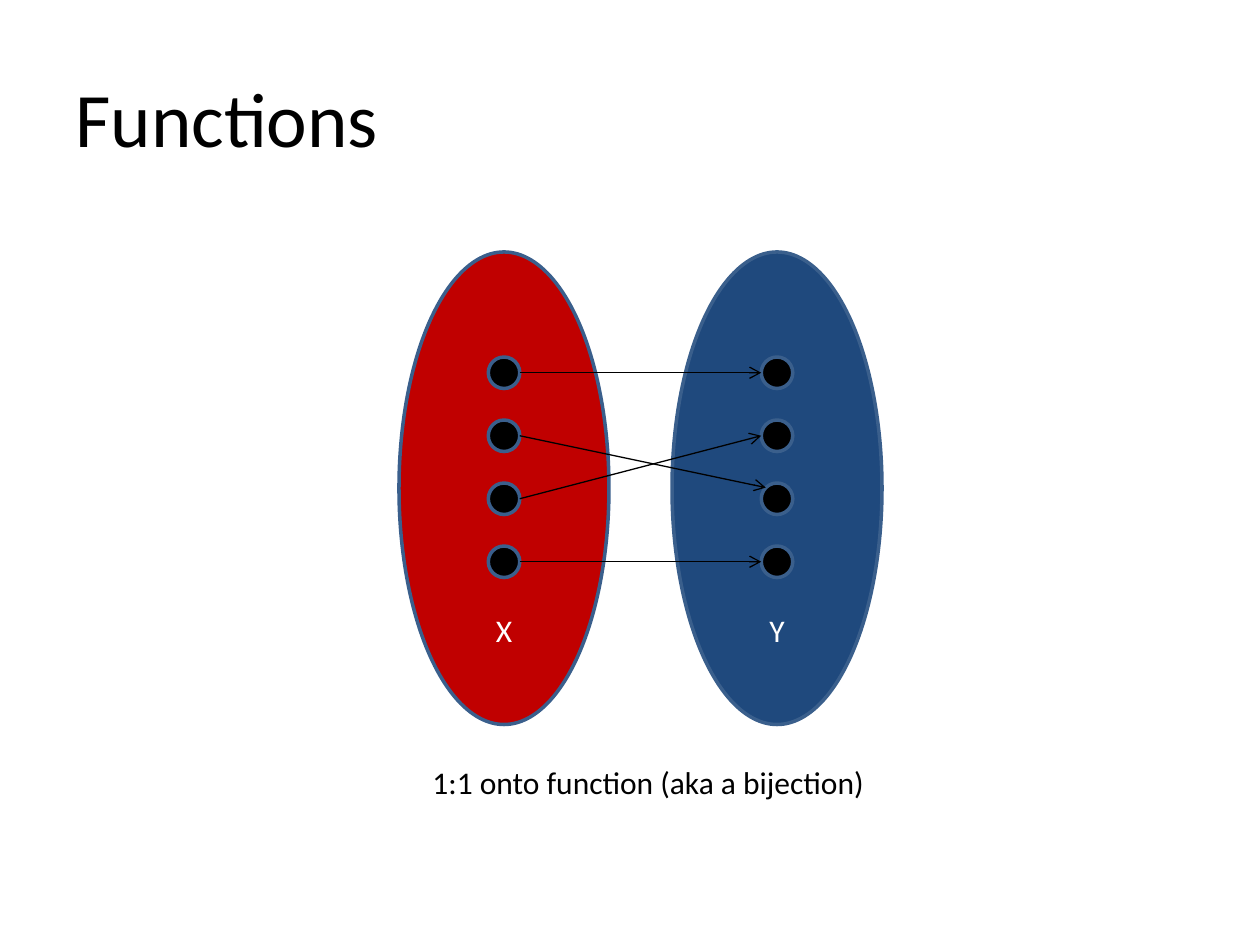
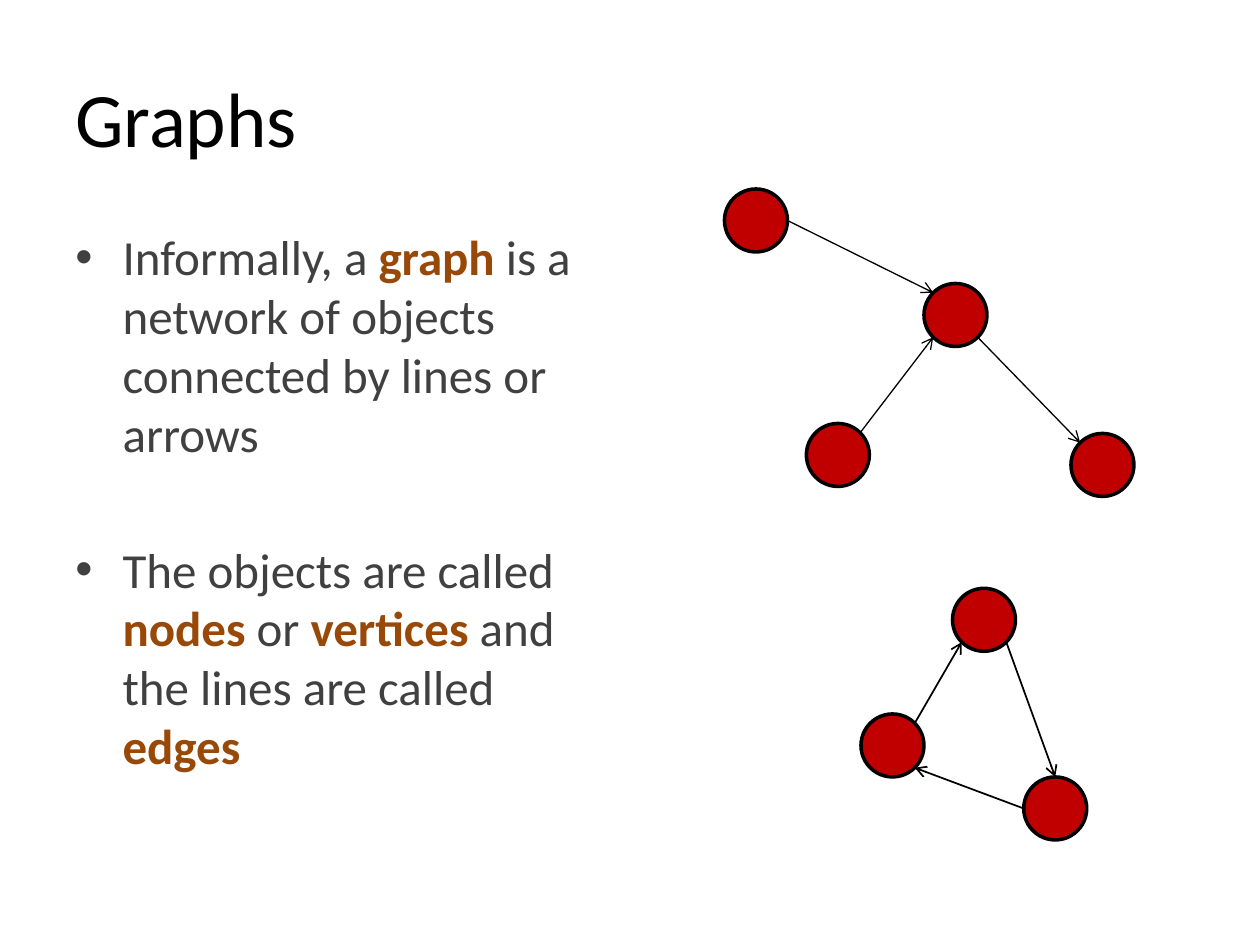
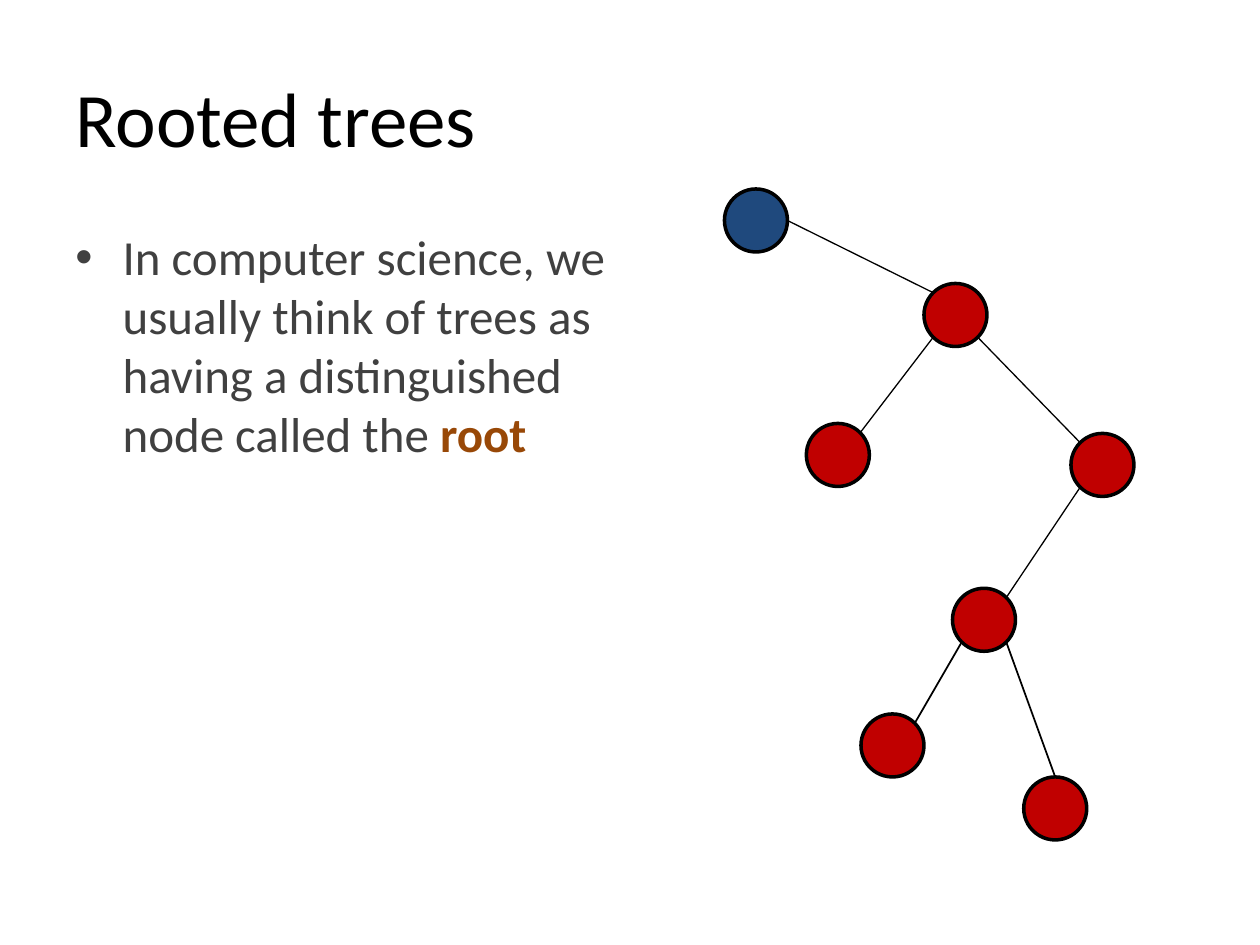
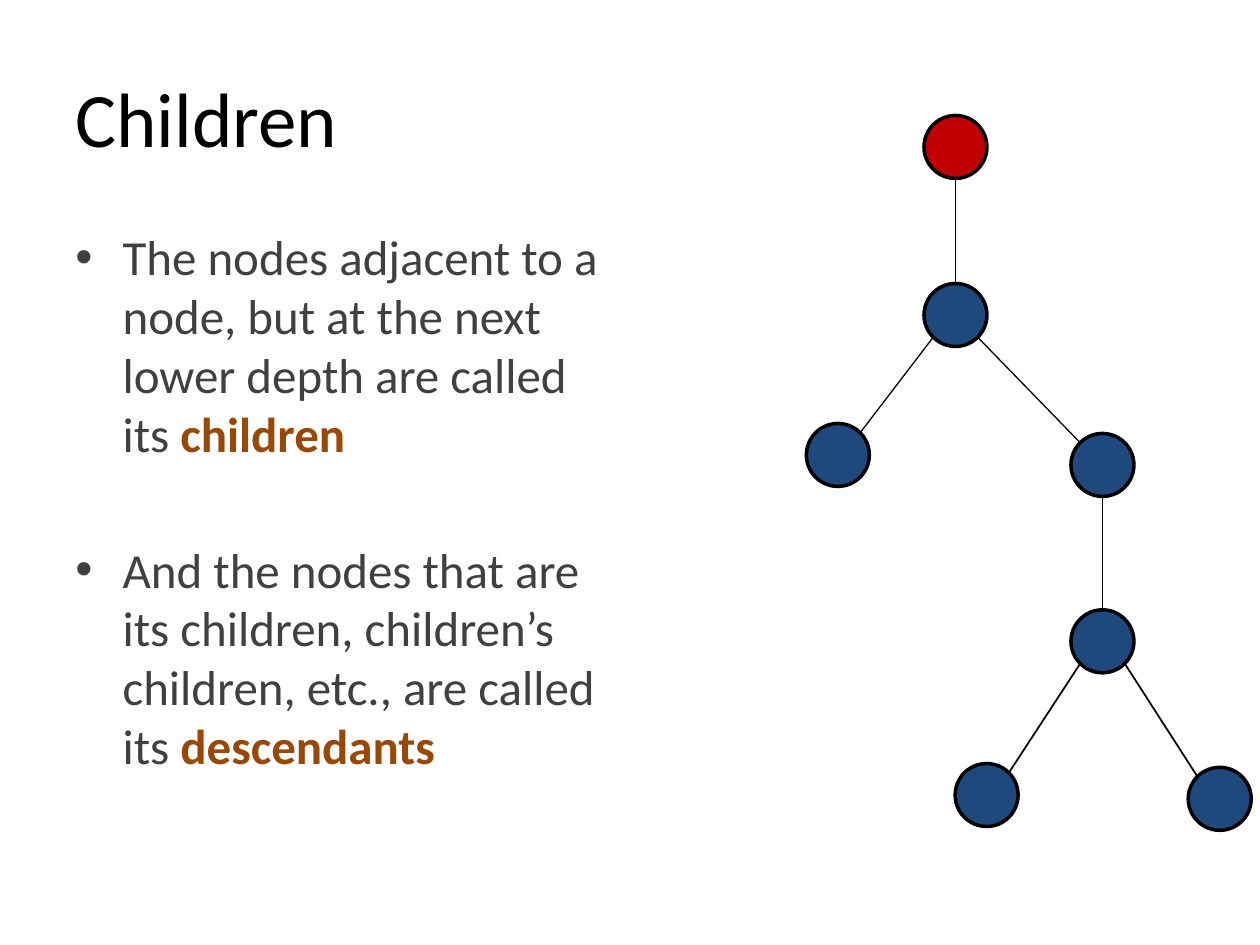
from math import sqrt

from lxml import etree
from pptx import Presentation
from pptx.dml.color import RGBColor
from pptx.enum.shapes import MSO_CONNECTOR, MSO_SHAPE
from pptx.enum.text import MSO_ANCHOR, MSO_AUTO_SIZE, PP_ALIGN
from pptx.oxml.ns import qn
from pptx.util import Pt

ELLIPSE = MSO_SHAPE.OVAL
STRAIGHT = MSO_CONNECTOR.STRAIGHT
TOP, MIDDLE, BOTTOM = MSO_ANCHOR.TOP, MSO_ANCHOR.MIDDLE, MSO_ANCHOR.BOTTOM
LEFT, CENTER = PP_ALIGN.LEFT, PP_ALIGN.CENTER
FIT_SHAPE = MSO_AUTO_SIZE.SHAPE_TO_FIT_TEXT

FONT = "Calibri"
COLORS = {
    "black": "000000",
    "white": "FFFFFF",
    "red": "C00000",
    "blue": "1F497D",
    "outline": "3A5F8C",
    "body": "404040",
    "term": "984807",
}

# Points on an ellipse, as fractions of its radii
D = sqrt(0.5)
SITES = {
    "n": (0, -1), "s": (0, 1), "w": (-1, 0), "e": (1, 0),
    "nw": (-D, -D), "ne": (D, -D), "sw": (-D, D), "se": (D, D),
}
NODE_SIZE = 36
DOT_SIZE = 18


class Deck:
    """Holds the style and the current slide."""

    def __init__(self):
        self.prs = Presentation()
        self.prs.slide_width, self.prs.slide_height = Pt(720), Pt(540)
        self.s = None

    def color(self, name):
        return RGBColor.from_string(COLORS[name])

    def slide(self, title):
        self.s = self.prs.slides.add_slide(self.prs.slide_layouts[6])
        tf = self.box(36, 21.6, 648, 90, anchor=MIDDLE)
        self.run(tf.paragraphs[0], title, 44)

    def box(self, x, y, w, h, anchor=TOP, wrap=True):
        tf = self.s.shapes.add_textbox(Pt(x), Pt(y), Pt(w), Pt(h)).text_frame
        tf.word_wrap = wrap
        tf.vertical_anchor = anchor
        return tf

    def run(self, p, text, size, color="black", bold=False):
        r = p.add_run()
        r.text = text
        r.font.name, r.font.size, r.font.bold = FONT, Pt(size), bold
        r.font.color.rgb = self.color(color)

    def caption(self, x, y, w, h, text):
        tf = self.box(x, y, w, h, wrap=False)
        tf.auto_size = FIT_SHAPE
        self.run(tf.paragraphs[0], text, 18)

    def bullets(self, *items, height=356.4):
        """Each item alternates plain text and highlighted terms."""
        tf = self.box(36, 126, 318, height)
        for i, parts in enumerate(items):
            p = tf.add_paragraph() if i else tf.paragraphs[0]
            p.alignment = LEFT
            p.space_before = Pt(44 if i else 0)
            pPr = p._p.get_or_add_pPr()
            pPr.set("marL", str(Pt(27)))
            pPr.set("indent", str(-Pt(27)))
            etree.SubElement(pPr, qn("a:buFont")).set("typeface", "Arial")
            etree.SubElement(pPr, qn("a:buChar")).set("char", "•")
            for j, text in enumerate(parts):
                is_term = j % 2 == 1
                self.run(p, text, 28, "term" if is_term else "body", is_term)

    def ellipse(self, x, y, w, h, fill, line="black", label=None):
        sp = self.s.shapes.add_shape(ELLIPSE, Pt(x), Pt(y), Pt(w), Pt(h))
        sp.shadow.inherit = False
        sp.fill.solid()
        sp.fill.fore_color.rgb = self.color(fill)
        sp.line.color.rgb = self.color(line)
        sp.line.width = Pt(2)
        if label:
            tf = sp.text_frame
            tf.vertical_anchor = BOTTOM
            p = tf.paragraphs[0]
            p.alignment = CENTER
            self.run(p, label, 18, "white")
        return sp

    def nodes(self, places, fill, root=None, root_fill=None):
        return {
            name: self.ellipse(x, y, NODE_SIZE, NODE_SIZE,
                               root_fill if name == root else fill)
            for name, (x, y) in places.items()
        }

    def site(self, sp, name):
        dx, dy = SITES[name]
        return (int(sp.left + sp.width * (1 + dx) / 2),
                int(sp.top + sp.height * (1 + dy) / 2))

    def edge(self, start, start_site, end, end_site, width=0.75, arrow=False):
        c = self.s.shapes.add_connector(
            STRAIGHT, *self.site(start, start_site), *self.site(end, end_site))
        c.line.color.rgb = self.color("black")
        c.line.width = Pt(width)
        if arrow:
            tail = etree.SubElement(c.line._get_or_add_ln(), qn("a:tailEnd"))
            tail.set("type", "arrow")
        etree.SubElement(c._element.spPr, qn("a:effectLst"))

    def edges(self, nodes, links, arrow=False):
        for start, start_site, end, end_site, width in links:
            self.edge(nodes[start], start_site, nodes[end], end_site, width, arrow)


# Node positions shared by the graph and tree slides
UPPER = {"hub": (528, 162), "left": (460.8, 242), "right": (612, 247.7)}
LOWER = {"apex": (544.3, 336.2), "low right": (585, 444), "low left": (492, 408)}
START = {"start": (414, 108)}


def functions(deck):
    deck.slide("Functions")
    dots = []
    for x, fill, label in ((228, "red", "X"), (384, "blue", "Y")):
        deck.ellipse(x, 144, 120, 270, fill, "outline", label)
        dots.append([
            deck.ellipse(x + 51, 204 + 36 * i, DOT_SIZE, DOT_SIZE, "black", "outline")
            for i in range(4)
        ])
    xs, ys = dots
    for i, j, end_site in ((0, 0, "w"), (1, 2, "nw"), (3, 3, "w"), (2, 1, "w")):
        deck.edge(xs[i], "e", ys[j], end_site, arrow=True)
    deck.caption(240, 432.7, 264, 29, "1:1 onto function (aka a bijection)")


def graphs(deck):
    deck.slide("Graphs")
    deck.bullets(
        ["Informally, a ", "graph ",
         "is a network of objects connected by lines or arrows"],
        ["The objects are called ", "nodes ", "or ", "vertices ",
         "and the lines are called ", "edges"],
    )
    nodes = deck.nodes({**START, **UPPER, **LOWER}, "red")
    deck.edges(nodes, [
        ("apex", "se", "low right", "n", 1),
        ("low right", "w", "low left", "se", 1),
        ("low left", "ne", "apex", "sw", 1),
        ("start", "e", "hub", "nw", 0.75),
        ("left", "ne", "hub", "sw", 0.75),
        ("hub", "se", "right", "nw", 0.75),
    ], arrow=True)


def rooted_trees(deck):
    deck.slide("Rooted trees")
    deck.bullets(
        ["In computer science, we usually think of trees as having "
         "a distinguished node called the ", "root"],
    )
    nodes = deck.nodes({**UPPER, **LOWER, **START}, "red", "start", "blue")
    deck.edges(nodes, [
        ("apex", "se", "low right", "n", 1),
        ("low left", "ne", "apex", "sw", 1),
        ("left", "ne", "hub", "sw", 0.75),
        ("hub", "se", "right", "nw", 0.75),
        ("right", "sw", "apex", "ne", 0.75),
        ("start", "e", "hub", "nw", 0.75),
    ])


def children(deck):
    deck.slide("Children")
    deck.bullets(
        ["The nodes adjacent to a node, but at the next lower depth "
         "are called its ", "children"],
        ["And the nodes that are its children, children’s children, etc., "
         "are called its ", "descendants"],
        height=414,
    )
    places = {
        **UPPER, "parent": (612, 348.5), "low right": (679, 438.5),
        "low left": (545.8, 436.3), "root": (528, 66),
    }
    nodes = deck.nodes(places, "blue", "root", "red")
    deck.edges(nodes, [
        ("parent", "se", "low right", "nw", 1),
        ("low left", "ne", "parent", "sw", 1),
        ("left", "ne", "hub", "sw", 0.75),
        ("hub", "se", "right", "nw", 0.75),
        ("root", "s", "hub", "n", 0.75),
        ("right", "s", "parent", "n", 0.75),
    ])


def main():
    deck = Deck()
    for build in (functions, graphs, rooted_trees, children):
        build(deck)
    deck.prs.save("out.pptx")


if __name__ == "__main__":
    main()
